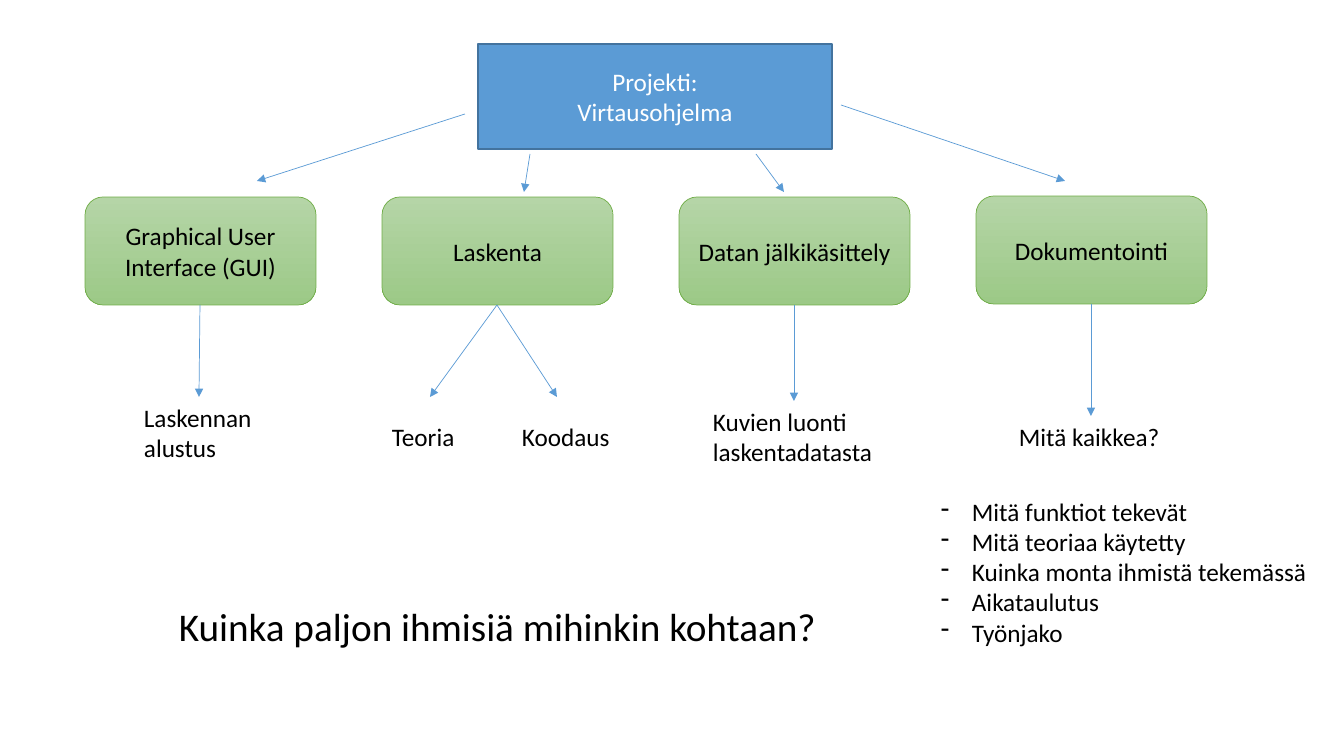
from lxml.etree import SubElement
from pptx import Presentation
from pptx.dml.color import RGBColor
from pptx.enum.shapes import MSO_CONNECTOR, MSO_SHAPE
from pptx.enum.text import MSO_ANCHOR, MSO_AUTO_SIZE, PP_ALIGN
from pptx.oxml.ns import qn
from pptx.util import Pt

SCALE = 914400 / 100.8
FONT = "Calibri"
COLORS = {
    "root": "5B9BD5",
    "root_line": "43739E",
    "branch_top": "B5D5A7",
    "branch_bottom": "9CC987",
    "branch_line": "70AD47",
    "arrow": "5B9BD5",
    "light": "FFFFFF",
    "dark": "000000",
}
BRANCH_LEFT, BRANCH_PITCH = 85, 297
BRANCH_W, BRANCH_H = 231, 108
BRANCHES = [
    ("Graphical User Interface (GUI)", 197),
    ("Laskenta", 197),
    ("Datan jälkikäsittely", 197),
    ("Dokumentointi", 196),
]
ROOT_ARROWS = [
    (465, 114, 257, 181),
    (530, 154, 524, 192),
    (756, 154, 784, 192),
    (841, 105, 1065, 181),
]
TASK_ARROWS = [(0, 199, 397), (1, 430, 397), (1, 557, 397), (2, 794, 401), (3, 1091, 416)]
TASKS = [
    ("Laskennan\nalustus", 134, 397, 129, 71),
    ("Teoria", 382, 416, 84, 40),
    ("Koodaus", 512, 416, 109, 40),
    ("Kuvien luonti\nlaskentadatasta", 703, 401, 181, 71),
    ("Mitä kaikkea?", 1009, 416, 162, 40),
]
DOCUMENT_TOPICS = [
    "Mitä funktiot tekevät",
    "Mitä teoriaa käytetty",
    "Kuinka monta ihmistä tekemässä",
    "Aikataulutus",
    "Työnjako",
]


def px(*values):
    return [round(v * SCALE) for v in values]


def rgb(name):
    return RGBColor.from_string(COLORS[name])


def write(tf, text, color="dark", size=18, align=PP_ALIGN.LEFT):
    tf.text = text
    for p in tf.paragraphs:
        p.alignment = align
        for r in p.runs:
            r.font.name = FONT
            r.font.size = Pt(size)
            r.font.color.rgb = rgb(color)


def add_box(slide, kind, text, color, line, weight, *box):
    sp = slide.shapes.add_shape(kind, *px(*box))
    sp.shadow.inherit = False
    sp.line.color.rgb = rgb(line)
    sp.line.width = Pt(weight)
    sp.text_frame.word_wrap = True
    sp.text_frame.vertical_anchor = MSO_ANCHOR.MIDDLE
    write(sp.text_frame, text, color, align=PP_ALIGN.CENTER)
    return sp


def add_root(slide):
    sp = add_box(slide, MSO_SHAPE.RECTANGLE, "Projekti:\nVirtausohjelma",
                 "light", "root_line", 1, 478, 44, 354, 105)
    sp.fill.solid()
    sp.fill.fore_color.rgb = rgb("root")


def add_branch(slide, text, left, top):
    sp = add_box(slide, MSO_SHAPE.ROUNDED_RECTANGLE, text, "dark", "branch_line", 0.5,
                 left, top, BRANCH_W, BRANCH_H)
    sp.fill.gradient()
    sp.fill.gradient_angle = 270
    for stop, name in zip(sp.fill.gradient_stops, ("branch_top", "branch_bottom")):
        stop.color.rgb = rgb(name)


def add_arrow(slide, *ends):
    line = slide.shapes.add_connector(MSO_CONNECTOR.STRAIGHT, *px(*ends))
    line.line.color.rgb = rgb("arrow")
    line.line.width = Pt(0.5)
    SubElement(line.line._get_or_add_ln(), qn("a:tailEnd"), type="triangle")
    SubElement(line._element.spPr, qn("a:effectLst"))


def add_label(slide, text, *box, size=18):
    sp = slide.shapes.add_textbox(*px(*box))
    tf = sp.text_frame
    tf.word_wrap = False
    tf.auto_size = MSO_AUTO_SIZE.SHAPE_TO_FIT_TEXT
    write(tf, text, size=size)
    return tf


def add_dash_list(slide, items, *box):
    indent = px(31)[0]
    for p in add_label(slide, "\n".join(items), *box).paragraphs:
        pPr = p._p.get_or_add_pPr()
        pPr.set("marL", str(indent))
        pPr.set("indent", str(-indent))
        SubElement(pPr, qn("a:buFontTx"))
        SubElement(pPr, qn("a:buChar"), char="-")


def main():
    prs = Presentation()
    prs.slide_width, prs.slide_height = px(1344, 756)
    slide = prs.slides.add_slide(prs.slide_layouts[6])

    add_root(slide)
    for i, (text, top) in enumerate(BRANCHES):
        add_branch(slide, text, BRANCH_LEFT + i * BRANCH_PITCH, top)
    for ends in ROOT_ARROWS:
        add_arrow(slide, *ends)
    for i, x, y in TASK_ARROWS:
        center = BRANCH_LEFT + i * BRANCH_PITCH + BRANCH_W // 2
        add_arrow(slide, center, BRANCHES[i][1] + BRANCH_H, x, y)
    for text, *box in TASKS:
        add_label(slide, text, *box)
    add_label(slide, "Kuinka paljon ihmisiä mihinkin kohtaan?", 169, 597, 664, 57, size=28)
    add_dash_list(slide, DOCUMENT_TOPICS, 931, 491, 390, 163)

    prs.save("out.pptx")


main()
